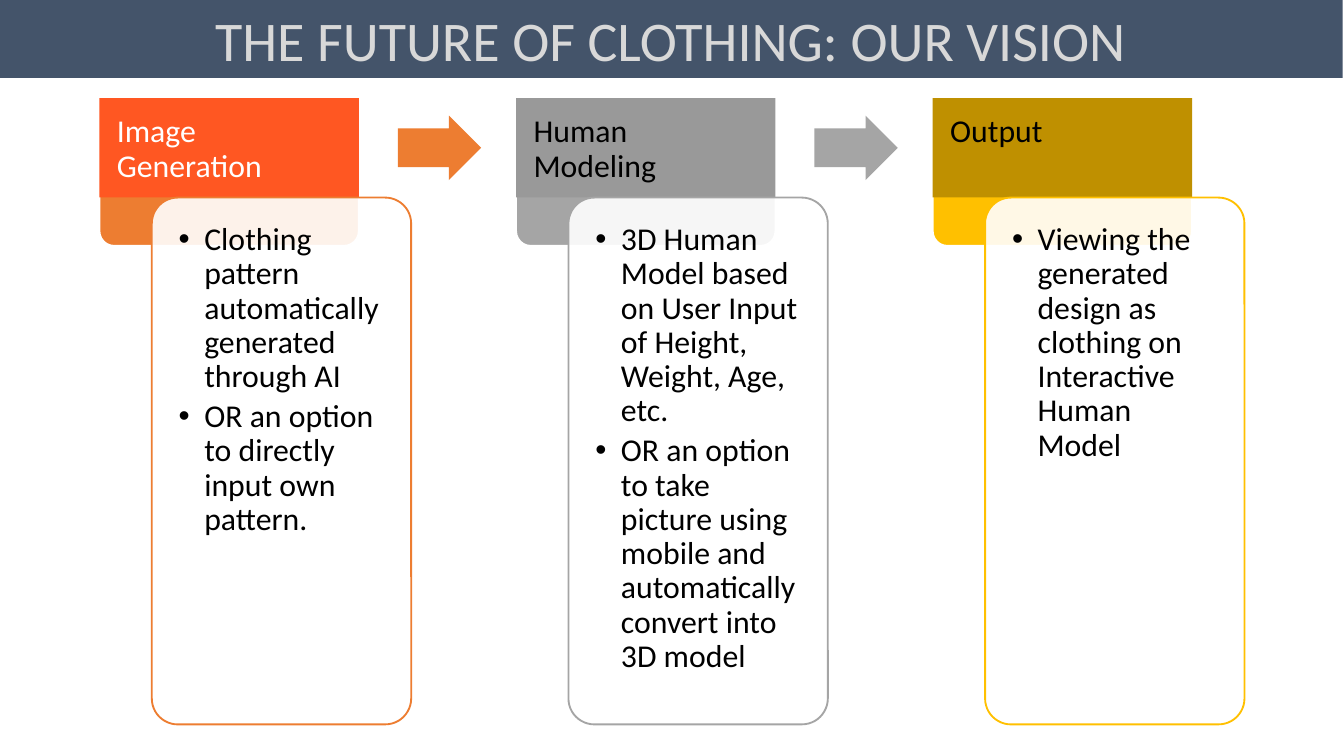
from lxml import etree
from pptx import Presentation
from pptx.dml.color import RGBColor
from pptx.enum.shapes import MSO_SHAPE as SHAPE
from pptx.enum.text import MSO_ANCHOR as ANCHOR, PP_ALIGN as ALIGN
from pptx.oxml.ns import qn
from pptx.util import Inches, Pt

WHITE = RGBColor(0xFF, 0xFF, 0xFF)
BLACK = RGBColor(0x00, 0x00, 0x00)
NAVY = RGBColor(0x44, 0x54, 0x6A)
SILVER = RGBColor(0xD8, 0xD8, 0xD8)
ORANGE = RGBColor(0xED, 0x7D, 0x31)
RED_ORANGE = RGBColor(0xFF, 0x57, 0x22)
GRAY = RGBColor(0xA5, 0xA5, 0xA5)
DARK_GRAY = RGBColor(0x99, 0x99, 0x99)
GOLD = RGBColor(0xFF, 0xC0, 0x00)
DARK_GOLD = RGBColor(0xBF, 0x90, 0x00)

STAGES = [
    ("Image Generation", ORANGE, RED_ORANGE, WHITE, [
        "Clothing pattern automatically generated through AI",
        "OR an option to directly input own pattern."]),
    ("Human Modeling", GRAY, DARK_GRAY, BLACK, [
        "3D Human Model based on User Input of Height, Weight, Age, etc.",
        "OR an option to take picture using mobile and automatically convert into 3D model"]),
    ("Output", GOLD, DARK_GOLD, BLACK, [
        "Viewing the generated design as clothing on Interactive Human Model"]),
]
LEFT, PITCH = 0.74, 3.1
HEAD_INSETS = {"margin_left": 0.13, "margin_top": 0.13, "margin_right": 0.15, "margin_bottom": 0.07}
BODY_INSETS = {"margin_left": 0.13, "margin_top": 0.13, "margin_right": 0.13, "margin_bottom": 0.13}
TITLE_INSETS = {"margin_left": 0.07, "margin_top": 0.04, "margin_right": 0.07, "margin_bottom": 0.04}


def add_block(kind, box, fill, line=None, adj=()):
    s = slide.shapes.add_shape(kind, *[Inches(v) for v in box])
    s.shadow.inherit = False
    s.fill.solid()
    s.fill.fore_color.rgb = fill
    if line is None:
        s.line.fill.background()
    else:
        s.line.color.rgb = line
        s.line.width = Pt(1)
    for i, value in enumerate(adj):
        s.adjustments[i] = value
    return s


def write_text(s, lines, insets, anchor, para, size, color, bullets=False):
    tf = s.text_frame
    tf.word_wrap = True
    tf.vertical_anchor = anchor
    for name, value in insets.items():
        setattr(tf, name, Inches(value))
    for i, line in enumerate(lines):
        p = tf.add_paragraph() if i else tf.paragraphs[0]
        if bullets:
            pPr = p._p.get_or_add_pPr()
            pPr.set("marL", str(Inches(0.19)))
            pPr.set("indent", str(-Inches(0.19)))
            clr = etree.SubElement(pPr, qn("a:buClr"))
            etree.SubElement(clr, qn("a:srgbClr"), val=str(color))
            etree.SubElement(pPr, qn("a:buFont"), typeface="Arial")
            etree.SubElement(pPr, qn("a:buChar"), char="•")
            if i:
                p.space_before = Pt(3)
        for name, value in para.items():
            setattr(p, name, value)
        r = p.add_run()
        r.text = line
        for name, value in {"name": "Calibri", "size": Pt(size)}.items():
            setattr(r.font, name, value)
        r.font.color.rgb = color


prs = Presentation()
prs.slide_width = Inches(10)
prs.slide_height = Inches(10 * 9 / 16)
slide = prs.slides.add_slide(prs.slide_layouts[6])

for i, (heading, accent, head_fill, head_color, points) in enumerate(STAGES):
    x = LEFT + i * PITCH
    add_block(SHAPE.ROUNDED_RECTANGLE, (x, 0.73, 1.93, 1.1), accent, WHITE, [0.1])

    s = add_block(SHAPE.RECTANGLE, (x, 0.73, 1.93, 0.74), head_fill)
    write_text(s, [heading], HEAD_INSETS, ANCHOR.TOP,
               {"alignment": ALIGN.LEFT, "line_spacing": 0.9}, 17, head_color)

    s = add_block(SHAPE.ROUNDED_RECTANGLE, (x + 0.39, 1.47, 1.93, 3.92), WHITE, accent, [0.1])
    clr = s._element.spPr.find(qn("a:solidFill"))[0]
    etree.SubElement(clr, qn("a:alpha"), val="90000")

    s = slide.shapes.add_textbox(Inches(x + 0.46), Inches(1.53), Inches(1.82), Inches(3.81))
    write_text(s, points, BODY_INSETS, ANCHOR.TOP,
               {"level": 1, "alignment": ALIGN.LEFT, "line_spacing": 0.9}, 17, BLACK, True)

    if i < len(STAGES) - 1:
        add_block(SHAPE.RIGHT_ARROW, (x + 2.22, 0.86, 0.62, 0.48), accent, adj=[0.6, 0.5])

s = add_block(SHAPE.RECTANGLE, (-0.01, 0, 10, 0.58), NAVY)
write_text(s, ["THE FUTURE OF CLOTHING: OUR VISION"], TITLE_INSETS, ANCHOR.MIDDLE,
           {"alignment": ALIGN.CENTER}, 30, SILVER)

prs.save("out.pptx")
